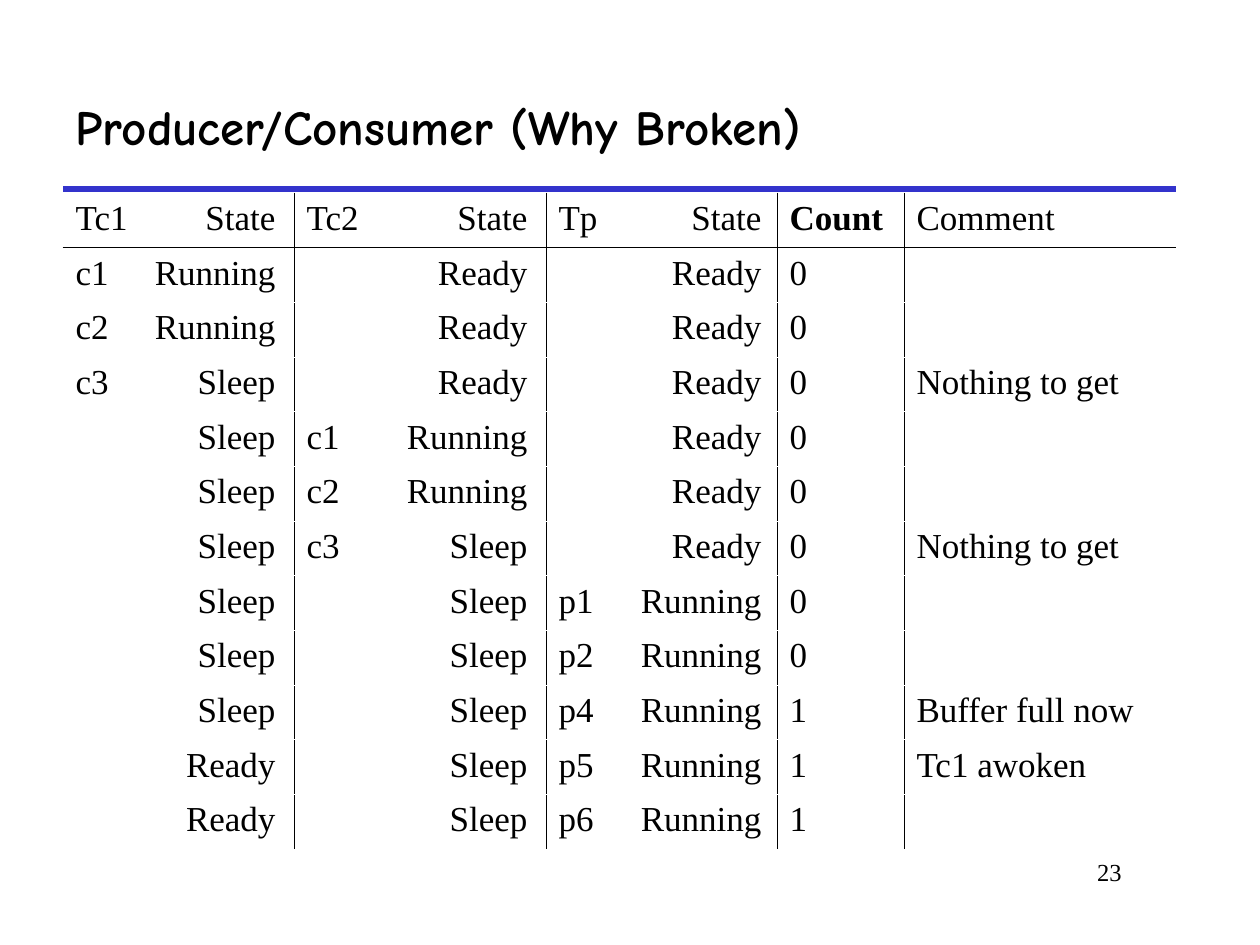
from lxml.etree import SubElement
from pptx import Presentation
from pptx.dml.color import RGBColor
from pptx.enum.shapes import MSO_CONNECTOR
from pptx.enum.text import MSO_ANCHOR, PP_ALIGN
from pptx.oxml import parse_xml
from pptx.oxml.ns import nsdecls, qn
from pptx.util import Pt

PX = 914400 / 126
BLACK, WHITE, BLUE = "000000", "FFFFFF", "3333CC"
SERIF = "Times New Roman"


def px(n):
    return int(n * PX)


def add_run(p, text, size, font=SERIF, bold=False):
    r = p.add_run()
    r.text = text
    r.font.size, r.font.name, r.font.bold = Pt(size), font, bold
    r.font.color.rgb = RGBColor.from_string(BLACK)


prs = Presentation()
prs.slide_width, prs.slide_height = px(1260), px(945)
s = prs.slides.add_slide(prs.slide_layouts[5])

# Title
title = s.shapes.title
title.left, title.top, title.width, title.height = px(63), px(63), px(1113), px(126)
tf = title.text_frame
tf.vertical_anchor = MSO_ANCHOR.MIDDLE
p = tf.paragraphs[0]
p.alignment = PP_ALIGN.LEFT
add_run(p, "Producer/Consumer (Why Broken)", 28, "Comic Neue", True)

# Rule under the title
rule = s.shapes.add_connector(MSO_CONNECTOR.STRAIGHT, px(63), px(189), px(1176), px(189))
rule.line.color.rgb = RGBColor.from_string(BLUE)
rule.line.width = Pt(3)
SubElement(rule._element.spPr, qn("a:effectLst"))

# Slide number
sp = s.shapes.add_textbox(px(955), px(851), px(179), px(63))
tf = sp.text_frame
tf.word_wrap = True
p = tf.paragraphs[0]
p.alignment = PP_ALIGN.RIGHT
add_run(p, "23", 14)

# Trace of the threads: a tab sets each state flush right in its column
rows = [
    ("Tc1\tState", "Tc2\tState", "Tp\tState", "Count", "Comment"),
    ("c1\tRunning", "\tReady", "\tReady", "0", ""),
    ("c2\tRunning", "\tReady", "\tReady", "0", ""),
    ("c3\tSleep", "\tReady", "\tReady", "0", "Nothing to get"),
    ("\tSleep", "c1\tRunning", "\tReady", "0", ""),
    ("\tSleep", "c2\tRunning", "\tReady", "0", ""),
    ("\tSleep", "c3\tSleep", "\tReady", "0", "Nothing to get"),
    ("\tSleep", "\tSleep", "p1\tRunning", "0", ""),
    ("\tSleep", "\tSleep", "p2\tRunning", "0", ""),
    ("\tSleep", "\tSleep", "p4\tRunning", "1", "Buffer full now"),
    ("\tReady", "\tSleep", "p5\tRunning", "1", "Tc1 awoken"),
    ("\tReady", "\tSleep", "p6\tRunning", "1", ""),
]
widths = [231, 252, 231, 127, 272]
state_stops = [200, 221, 203]
last = len(widths) - 1

table = s.shapes.add_table(len(rows), len(widths), px(63), px(193), px(1113), px(655)).table
table.first_row = table.horz_banding = False
for col, width in zip(table.columns, widths):
    col.width = px(width)

for i, row in enumerate(rows):
    for j, text in enumerate(row):
        cell = table.cell(i, j)
        cell.fill.background()
        p = cell.text_frame.paragraphs[0]
        if "\t" in text:
            tabs = SubElement(p._p.get_or_add_pPr(), qn("a:tabLst"))
            SubElement(tabs, qn("a:tab"), pos=str(px(state_stops[j])), algn="r")
        if text:
            add_run(p, text, 20, bold=text == "Count")
        else:
            p.font.size = Pt(20)

        # Black between columns and under the header, white elsewhere
        borders = {
            "lnL": BLACK if j > 0 else WHITE,
            "lnR": BLACK if j < last else WHITE,
            "lnT": BLACK if i == 1 else WHITE,
            "lnB": BLACK if i == 0 else WHITE,
        }
        for k, (side, color) in enumerate(borders.items()):
            cell._tc.get_or_add_tcPr().insert(k, parse_xml(
                f'<a:{side} {nsdecls("a")} w="{Pt(0.45)}"><a:solidFill>'
                f'<a:srgbClr val="{color}"/></a:solidFill></a:{side}>'))

prs.save("out.pptx")
